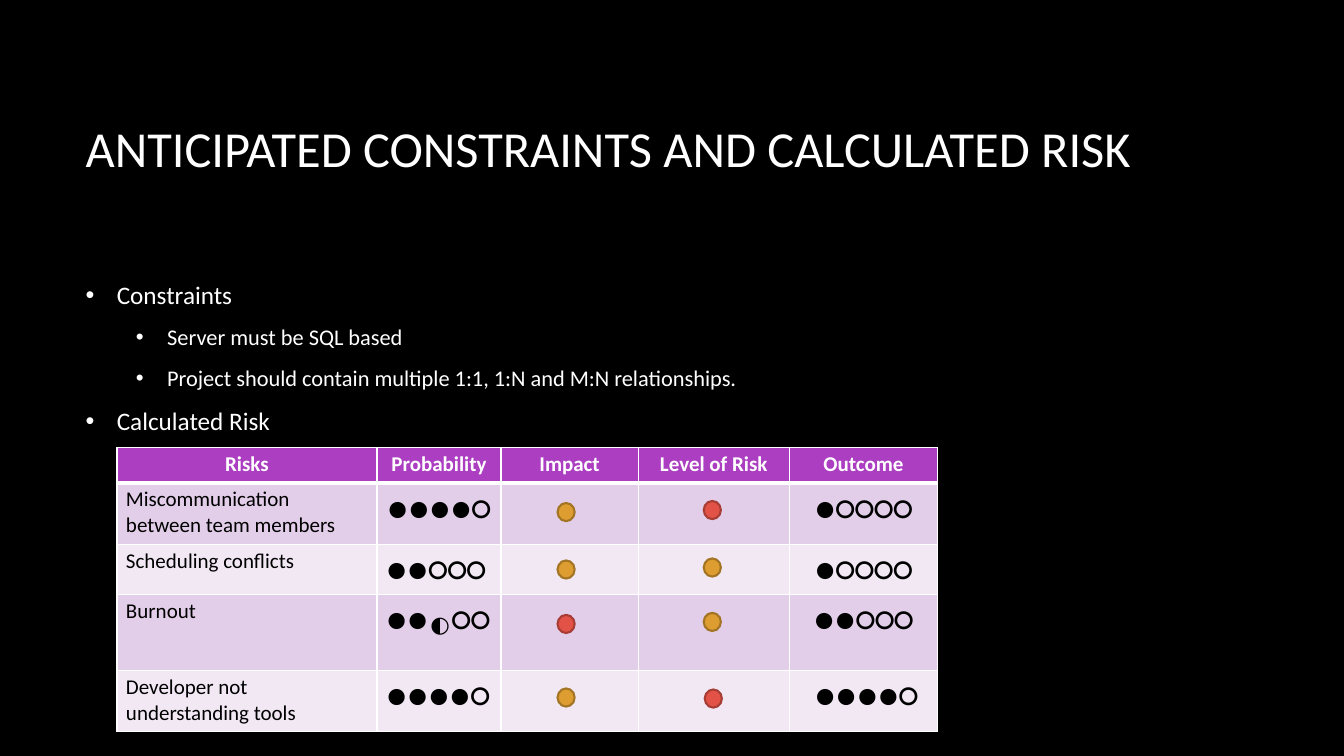
from dataclasses import dataclass

from lxml.etree import SubElement
from pptx import Presentation
from pptx.dml.color import RGBColor
from pptx.enum.shapes import MSO_SHAPE
from pptx.enum.text import MSO_ANCHOR, PP_ALIGN
from pptx.oxml.ns import qn
from pptx.util import Inches, Pt


@dataclass(frozen=True)
class Theme:
    font: str = "Calibri"
    background: str = "000000"
    light: str = "FFFFFF"
    dark: str = "000000"
    header: str = "AC3EC1"
    bands: tuple = ("E3CEE9", "F1E8F4")
    amber: tuple = ("DD9D31", "A37424")
    red: tuple = ("E25247", "A73D35")
    title_size: int = 36
    body_sizes: tuple = (18, 16)
    table_size: int = 15
    rating_size: int = 25
    half_size: int = 16


THEME = Theme()


def write(para, text, size, color=THEME.light, bold=False, align=PP_ALIGN.LEFT):
    para.alignment = align
    span = para.add_run()
    span.text = text
    span.font.name = THEME.font
    span.font.size = Pt(size)
    span.font.bold = bold
    span.font.color.rgb = RGBColor.from_string(color)


def rating(score):
    return "●" * score + "○" * (5 - score)


class SlideBuilder:
    def __init__(self, deck, theme):
        self.theme = theme
        self.slide = deck.slides.add_slide(deck.slide_layouts[5])
        fill = self.slide.background.fill
        fill.solid()
        fill.fore_color.rgb = RGBColor.from_string(theme.background)

    def title(self, text, left, top, width, height):
        box = self.slide.shapes.title
        box.left, box.top = Inches(left), Inches(top)
        box.width, box.height = Inches(width), Inches(height)
        box.text_frame.vertical_anchor = MSO_ANCHOR.MIDDLE
        write(box.text_frame.paragraphs[0], text, self.theme.title_size)

    def text_box(self, left, top, width, height):
        box = self.slide.shapes.add_textbox(
            Inches(left), Inches(top), Inches(width), Inches(height))
        box.text_frame.word_wrap = True
        return box.text_frame

    def bullets(self, items, left, top, width, height, inset):
        frame = self.text_box(left, top, width, height)
        frame.margin_top = Inches(inset)
        for index, (level, text) in enumerate(items):
            para = frame.add_paragraph() if index else frame.paragraphs[0]
            para.level = level
            para.space_after = Pt(10)
            write(para, text, self.theme.body_sizes[level])
            props = para._p.get_or_add_pPr()
            props.set("marL", str(Inches(0.31 + 0.5 * level)))
            props.set("indent", str(Inches(-0.31)))
            color = SubElement(props, qn("a:buClr"))
            SubElement(color, qn("a:srgbClr"), val=self.theme.light)
            SubElement(props, qn("a:buFont"), typeface="Arial")
            SubElement(props, qn("a:buChar"), char="•")

    def table(self, left, top, widths, heights):
        table = self.slide.shapes.add_table(
            len(heights), len(widths), Inches(left), Inches(top),
            Inches(sum(widths)), Inches(sum(heights))).table
        for column, width in zip(table.columns, widths):
            column.width = Inches(width)
        for index, (row, height) in enumerate(zip(table.rows, heights)):
            row.height = Inches(height)
            color = self.theme.bands[(index - 1) % 2] if index else self.theme.header
            for cell in row.cells:
                cell.margin_left = cell.margin_right = Inches(0.09)
                cell.margin_top = cell.margin_bottom = Inches(0.04)
                self.borders(cell, top=3 if index == 1 else 1,
                             bottom=1 if index else 3)
                cell.fill.solid()
                cell.fill.fore_color.rgb = RGBColor.from_string(color)
        return table

    def borders(self, cell, top, bottom):
        props = cell._tc.get_or_add_tcPr()
        for side, width in (("L", 1), ("R", 1), ("T", top), ("B", bottom)):
            line = SubElement(props, qn(f"a:ln{side}"), w=str(Pt(width)))
            fill = SubElement(line, qn("a:solidFill"))
            SubElement(fill, qn("a:srgbClr"), val=self.theme.light)

    def dot(self, left, top, colors):
        dot = self.slide.shapes.add_shape(
            MSO_SHAPE.OVAL, Inches(left), Inches(top), Inches(0.17), Inches(0.18))
        dot.shadow.inherit = False
        dot.fill.solid()
        dot.fill.fore_color.rgb = RGBColor.from_string(colors[0])
        dot.line.color.rgb = RGBColor.from_string(colors[1])
        dot.line.width = Pt(1.5)


def main():
    deck = Presentation()
    deck.slide_width, deck.slide_height = Inches(13.33), Inches(7.5)
    page = SlideBuilder(deck, THEME)

    # Title and bullets
    page.title("ANTICIPATED CONSTRAINTS AND CALCULATED RISK", 0.75, 0.67, 11.08, 1.59)
    page.bullets([
        (0, "Constraints"),
        (1, "Server must be SQL based"),
        (1, "Project should contain multiple 1:1, 1:N and M:N relationships."),
        (0, "Calculated Risk"),
    ], 0.75, 1.97, 11.08, 3.99, inset=0.8)

    # Risk table
    table = page.table(1.16, 4.44, [2.58, 1.23, 1.36, 1.5, 1.47],
                       [0.35, 0.61, 0.5, 0.75, 0.61])
    headings = ["Risks", "Probability", "Impact", "Level of Risk", "Outcome"]
    for column, heading in enumerate(headings):
        write(table.cell(0, column).text_frame.paragraphs[0], heading,
              THEME.table_size, bold=True, align=PP_ALIGN.CENTER)

    center, left = PP_ALIGN.CENTER, PP_ALIGN.LEFT
    risks = [
        ("Miscommunication between team members", rating(4), center, rating(1), center),
        ("Scheduling conflicts", rating(2), left, rating(1), center),
        ("Burnout", "●●\t○○", left, rating(2), center),
        ("Developer not understanding tools", rating(4), left, rating(4), left),
    ]
    for row, (risk, chance, chance_align, outcome, outcome_align) in enumerate(risks, 1):
        for column, text, size, align in (
                (0, risk, THEME.table_size, left),
                (1, chance, THEME.rating_size, chance_align),
                (4, outcome, THEME.rating_size, outcome_align)):
            write(table.cell(row, column).text_frame.paragraphs[0], text, size,
                  color=THEME.dark, align=align)

    # Tab stop leaves room for the half circle; indent shifts the last outcome
    props = table.cell(3, 1).text_frame.paragraphs[0]._p.get_or_add_pPr()
    stops = SubElement(props, qn("a:tabLst"))
    SubElement(stops, qn("a:tab"), pos=str(Inches(0.65)), algn="l")
    props = table.cell(4, 4).text_frame.paragraphs[0]._p.get_or_add_pPr()
    props.set("marL", str(Inches(0.16)))

    # Impact and level dots
    for impact_top, impact, level_left, level_top, level in (
            (4.99, THEME.amber, 6.98, 4.97, THEME.red),
            (5.56, THEME.amber, 6.98, 5.54, THEME.amber),
            (6.1, THEME.red, 6.98, 6.08, THEME.amber),
            (6.83, THEME.amber, 6.99, 6.84, THEME.red)):
        page.dot(5.53, impact_top, impact)
        page.dot(level_left, level_top, level)

    # Half circle in the burnout rating
    frame = page.text_box(4.17, 6, 0.26, 0.37)
    frame.margin_right = 0
    write(frame.paragraphs[0], "◐", THEME.half_size, color=THEME.dark)

    deck.save("out.pptx")


if __name__ == "__main__":
    main()
